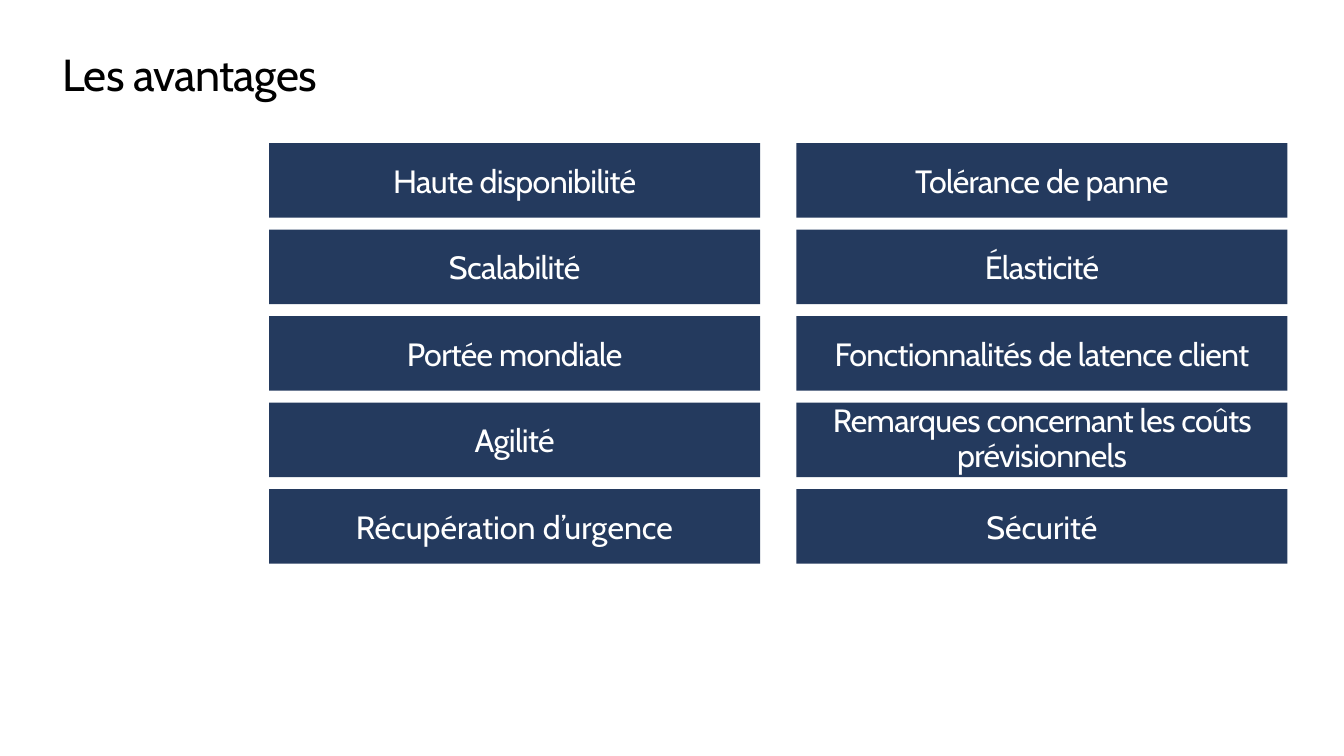
from pptx import Presentation
from pptx.dml.color import RGBColor
from pptx.enum.shapes import MSO_SHAPE
from pptx.enum.text import MSO_ANCHOR, PP_ALIGN
from pptx.util import Inches, Pt

RECTANGLE = MSO_SHAPE.RECTANGLE
TOP, MIDDLE = MSO_ANCHOR.TOP, MSO_ANCHOR.MIDDLE
LEFT, CENTER = PP_ALIGN.LEFT, PP_ALIGN.CENTER

COLORS = {"navy": "243A5E", "white": "FFFFFF", "black": "000000"}
ADVANTAGES = [
    ("Haute disponibilité", "Tolérance de panne"),
    ("Scalabilité", "Élasticité"),
    ("Portée mondiale", "Fonctionnalités de latence client"),
    ("Agilité", "Remarques concernant les coûts prévisionnels"),
    ("Récupération d’urgence", "Sécurité"),
]


def write(frame, text, size, color, align=LEFT, anchor=TOP,
          insets=(0.1, 0.1, 0.1, 0.1), line_spacing=None, tracking=-0.5):
    frame.word_wrap = True
    frame.vertical_anchor = anchor
    (frame.margin_left, frame.margin_top,
     frame.margin_right, frame.margin_bottom) = map(Inches, insets)
    paragraph = frame.paragraphs[0]
    paragraph.alignment = align
    if line_spacing:
        paragraph.line_spacing = line_spacing
    run = paragraph.add_run()
    run.text = text
    run.font.name = "Cabin"
    run.font.size = Pt(size)
    run.font.color.rgb = RGBColor.from_string(COLORS[color])
    if tracking:
        run.font._element.set("spc", str(round(tracking * 100)))


class AdvantagesSlide:
    grid_left, grid_top = 2.67, 1.42
    column_step, row_step = 5.23, 0.858
    card_width, card_height = 4.87, 0.74

    def __init__(self, deck):
        self.slide = deck.slides.add_slide(deck.slide_layouts[6])

    def title(self, text):
        heading = self.slide.shapes.add_textbox(
            Inches(0.46), Inches(0.48), Inches(12.4), Inches(0.74))
        write(heading.text_frame, text, 32, "black",
              insets=(0.16, 0.04, 0.16, 0.1), line_spacing=0.9)

    def card(self, column, row, text, **text_format):
        card = self.slide.shapes.add_shape(
            RECTANGLE,
            Inches(self.grid_left + column * self.column_step),
            Inches(self.grid_top + row * self.row_step),
            Inches(self.card_width), Inches(self.card_height))
        card.shadow.inherit = False
        card.fill.solid()
        card.fill.fore_color.rgb = RGBColor.from_string(COLORS["navy"])
        card.line.fill.background()
        write(card.text_frame, text, 23, "white",
              align=CENTER, anchor=MIDDLE, **text_format)


def main():
    deck = Presentation()
    deck.slide_width, deck.slide_height = Inches(13.33), Inches(7.5)
    page = AdvantagesSlide(deck)
    page.title("Les avantages")
    last_row = len(ADVANTAGES) - 1
    for row, pair in enumerate(ADVANTAGES):
        for column, advantage in enumerate(pair):
            page.card(column, row, advantage,
                      tracking=0 if row == last_row else -0.5,
                      line_spacing=0.9 if len(advantage) > 40 else None)
    deck.save("out.pptx")


if __name__ == "__main__":
    main()
